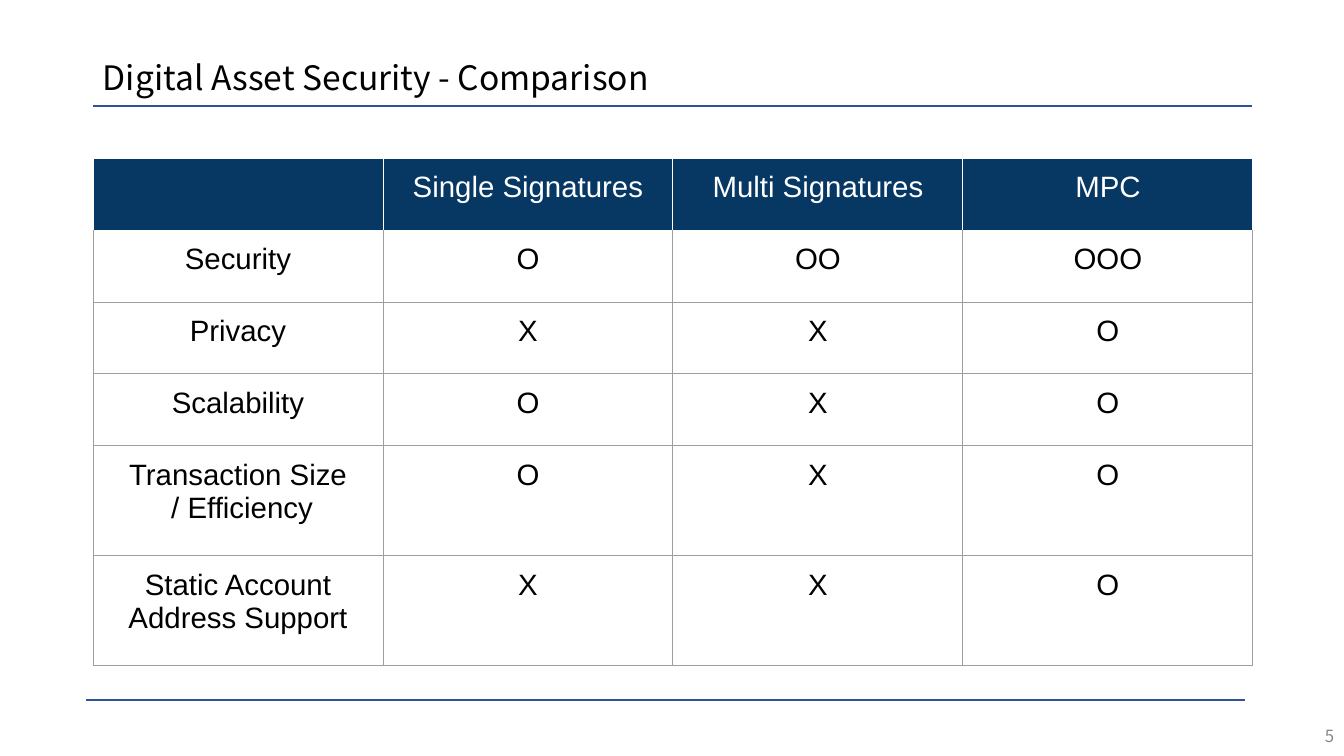
"""Build the digital asset security comparison slide."""
import lxml.etree
import pptx
import pptx.dml.color
import pptx.enum.shapes
import pptx.enum.text
import pptx.oxml.ns
import pptx.util

COLORS = {
    "black": "000000", "white": "FFFFFF", "gray": "888888",
    "navy": "073763", "rule": "2F5496", "grid": "9E9E9E",
}
ALIGN = pptx.enum.text.PP_ALIGN
ANCHOR = pptx.enum.text.MSO_ANCHOR
SANS = "Noto Sans CJK KR"
ROWS = [
    ["", "Single Signatures", "Multi Signatures", "MPC"],
    ["Security", "O", "OO", "OOO"],
    ["Privacy", "X", "X", "O"],
    ["Scalability", "O", "X", "O"],
    ["Transaction Size\n / Efficiency", "O", "X", "O"],
    ["Static Account Address Support", "X", "X", "O"],
]
ROW_HEIGHTS = [72, 72, 72, 72, 110, 110]


def px(n):
    return pptx.util.Emu(round(n * 914400 / 100.8))


def rgb(name):
    return pptx.dml.color.RGBColor.from_string(COLORS[name])


def write(tf, text, font="Arial", size=21, color="black", align=ALIGN.LEFT, spacing=None):
    for i, line in enumerate(text.split("\n")):
        p = tf.add_paragraph() if i else tf.paragraphs[0]
        p.alignment = align
        p.line_spacing = spacing
        if not line:
            continue
        r = p.add_run()
        r.text = line
        r.font.name = font
        r.font.size = pptx.util.Pt(size)
        r.font.color.rgb = rgb(color)
        ea = lxml.etree.SubElement(r.font._element, pptx.oxml.ns.qn("a:ea"))
        ea.set("typeface", font)


class Deck:
    def __init__(self):
        self.prs = pptx.Presentation()
        self.prs.slide_width, self.prs.slide_height = px(1344), px(756)
        self.s = self.prs.slides.add_slide(self.prs.slide_layouts[6])

    def text(self, x, y, w, h, text, **fmt):
        tf = self.s.shapes.add_textbox(px(x), px(y), px(w), px(h)).text_frame
        tf.word_wrap = True
        tf.vertical_anchor = ANCHOR.MIDDLE
        write(tf, text, **fmt)

    def rule(self, x, y, w):
        kind = pptx.enum.shapes.MSO_CONNECTOR.STRAIGHT
        sp = self.s.shapes.add_connector(kind, px(x), px(y), px(x + w), px(y))
        sp.line.color.rgb = rgb("rule")
        sp.line.width = pptx.util.Pt(1)
        lxml.etree.SubElement(sp._element.spPr, pptx.oxml.ns.qn("a:effectLst"))

    def borders(self, cell, **sides):
        tcPr = cell._tc.get_or_add_tcPr()
        for i, (side, color) in enumerate(sides.items()):
            ln = lxml.etree.Element(pptx.oxml.ns.qn("a:ln" + side), w="9525")
            fill = lxml.etree.SubElement(ln, pptx.oxml.ns.qn("a:solidFill"))
            lxml.etree.SubElement(fill, pptx.oxml.ns.qn("a:srgbClr"), val=COLORS[color])
            tcPr.insert(i, ln)

    def cell(self, cell, text, row):
        header = row == 0
        cell.margin_left = cell.margin_right = px(13)
        cell.margin_top = cell.margin_bottom = px(13)
        if header:
            cell.fill.solid()
            cell.fill.fore_color.rgb = rgb("navy")
        else:
            cell.fill.background()
        edge = "white" if header else "grid"
        top = "white" if row < 2 else "grid"
        self.borders(cell, L=edge, R=edge, T=top, B=edge)
        write(cell.text_frame, text, color="white" if header else "black", align=ALIGN.CENTER)

    def table(self, x, y, col_width, heights, rows):
        cols = len(rows[0])
        frame = self.s.shapes.add_table(
            len(rows), cols, px(x), px(y), px(col_width * cols), px(sum(heights)))
        table = frame.table
        table.first_row = table.horz_banding = False
        for col in table.columns:
            col.width = px(col_width)
        for i, (height, row) in enumerate(zip(heights, rows)):
            table.rows[i].height = px(height)
            for j, text in enumerate(row):
                self.cell(table.cell(i, j), text, i)


def main():
    deck = Deck()
    deck.text(93, 40, 1159, 80, "Digital Asset Security - Comparison",
              font=SANS, size=24, spacing=0.9)
    deck.rule(93, 106, 1159)
    deck.text(1042, 716, 302, 40, "5", font=SANS, size=12, color="gray", align=ALIGN.RIGHT)
    deck.rule(86, 700, 1159)
    deck.table(93, 158, 290, ROW_HEIGHTS, ROWS)
    deck.prs.save("out.pptx")


if __name__ == "__main__":
    main()
